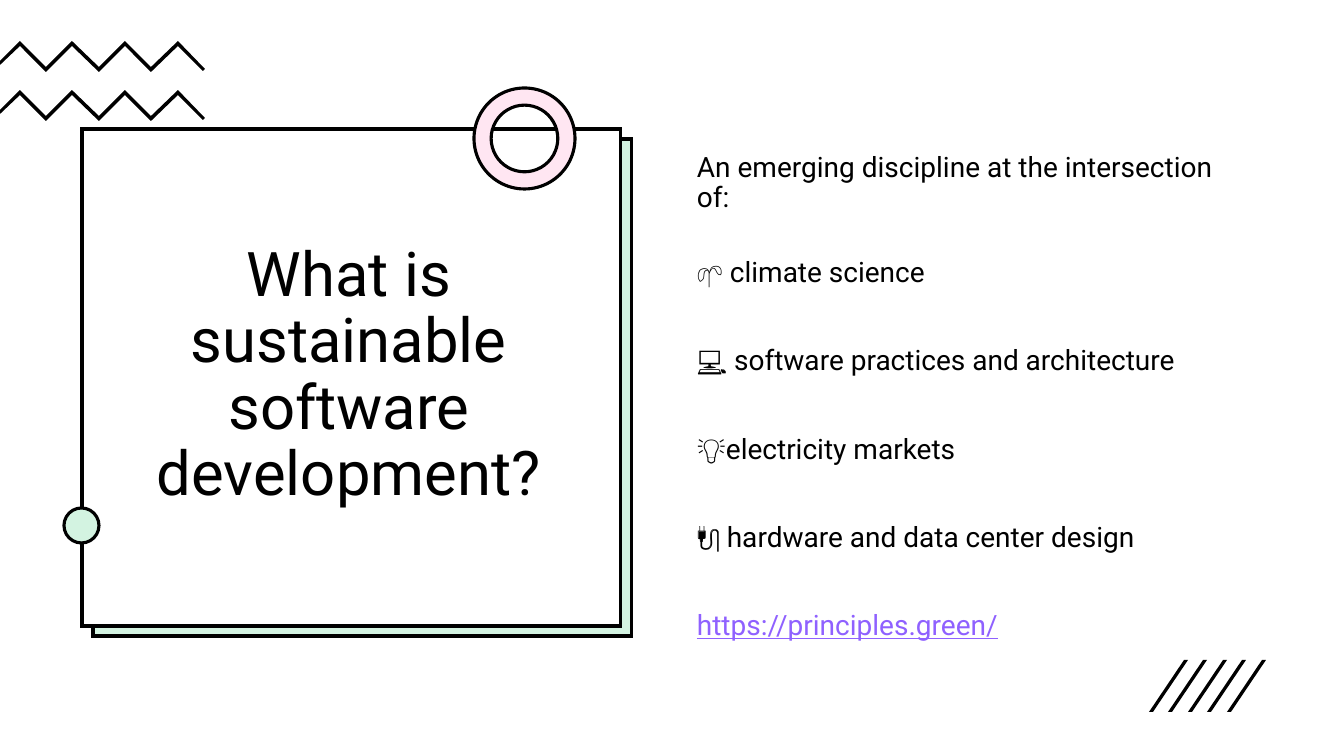
from lxml import etree
from pptx import Presentation
from pptx.dml.color import RGBColor
from pptx.enum.shapes import MSO_SHAPE
from pptx.enum.text import MSO_ANCHOR, MSO_AUTO_SIZE, PP_ALIGN
from pptx.oxml.ns import qn
from pptx.util import Pt

RECT, OVAL, DONUT = MSO_SHAPE.RECTANGLE, MSO_SHAPE.OVAL, MSO_SHAPE.DONUT
MIDDLE, TOP = MSO_ANCHOR.MIDDLE, MSO_ANCHOR.TOP
LEFT, CENTER = PP_ALIGN.LEFT, PP_ALIGN.CENTER
NO_FIT = MSO_AUTO_SIZE.NONE

BLACK = RGBColor(0x00, 0x00, 0x00)
WHITE = RGBColor(0xFF, 0xFF, 0xFF)
MINT = RGBColor(0xD3, 0xF3, 0xE1)
PINK = RGBColor(0xFF, 0xE6, 0xF2)
PURPLE = RGBColor(0x8F, 0x61, 0xFF)
FONT = "Roboto"

TITLE = "What is sustainable software development?"
BODY = [
    ("An emerging discipline at the intersection of:", 0),
    ("🌱 climate science", 32),
    ("💻 software practices and architecture", 41.5),
    ("💡electricity markets", 41.5),
    ("🔌 hardware and data center design", 41.5),
    ("https://principles.green/", 41.5),
]
CARDS = [(RECT, (93, 139, 539, 497), MINT), (RECT, (82, 129, 539, 497), WHITE)]
DOTS = [(DONUT, (474, 88, 101, 101), PINK), (OVAL, (64, 508, 35, 35), MINT)]
WAVES = [41, 90]
SLASHES = 5

PX = 914400 / 100.8


def px(n):
    return round(n * PX)


def add_shape(kind, box, fill):
    shape = shapes.add_shape(kind, *map(px, box))
    shape.shadow.inherit = False
    shape.fill.solid()
    shape.fill.fore_color.rgb = fill
    shape.line.color.rgb = BLACK
    shape.line.width = Pt(2.25)
    line = shape._element.spPr.find(qn("a:ln"))
    etree.SubElement(line, qn("a:miter"), lim="800000")
    return shape


def add_outline(points):
    pen = shapes.build_freeform(*points[0], scale=PX)
    pen.add_line_segments(points[1:], close=True)
    shape = pen.convert_to_shape()
    shape.shadow.inherit = False
    shape.fill.solid()
    shape.fill.fore_color.rgb = BLACK
    shape.line.fill.background()


def place(shape, box):
    shape.left, shape.top, shape.width, shape.height = map(px, box)


def set_text(shape, lines, size, align, anchor):
    frame = shape.text_frame
    frame.text = "\n".join(text for text, gap in lines)
    frame.word_wrap = True
    frame.auto_size = NO_FIT
    frame.vertical_anchor = anchor
    for para, (text, gap) in zip(frame.paragraphs, lines):
        para.alignment = align
        para.line_spacing = 0.9
        para.space_before = Pt(gap)
        font = para.runs[0].font
        font.name = FONT
        font.size = Pt(size)
        font.color.rgb = BLACK
    return frame


deck = Presentation()
deck.slide_width, deck.slide_height = px(1344), px(756)
slide = deck.slides.add_slide(deck.slide_layouts[5])
shapes = slide.shapes

back = add_shape(RECT, (0, 0, 1344, 756), WHITE)
back.line.fill.background()

for top in WAVES:
    peaks = [(20 + round(26.25 * i), top + 26 * (i % 2)) for i in range(7)]
    under = [(x, y + 5) for x, y in reversed(peaks)]
    tip = [(205, top + 28), (203, top + 30)]
    edge = [(0, top + 24), (0, top + 20)]
    add_outline(peaks + tip + under + edge)

for card in CARDS:
    add_shape(*card)

title = shapes.title
place(title, (122, 139, 454, 474))
set_text(title, [(TITLE, 0)], 44, CENTER, MIDDLE)
shapes._spTree.append(title._element)

ring, dot = [add_shape(*item) for item in DOTS]
ring.adjustments[0] = 0.17

body = shapes.add_textbox(0, 0, 0, 0)
place(body, (687, 148, 560, 480))
frame = set_text(body, BODY, 20, LEFT, TOP)
link = frame.paragraphs[-1].runs[0].font
link.color.rgb = PURPLE
link.underline = True

for i in range(SLASHES):
    x = 1149 + round(19.4 * i)
    add_outline([(x + 4, 712), (x, 712), (x + 35, 660), (x + 39, 660)])

deck.save("out.pptx")
